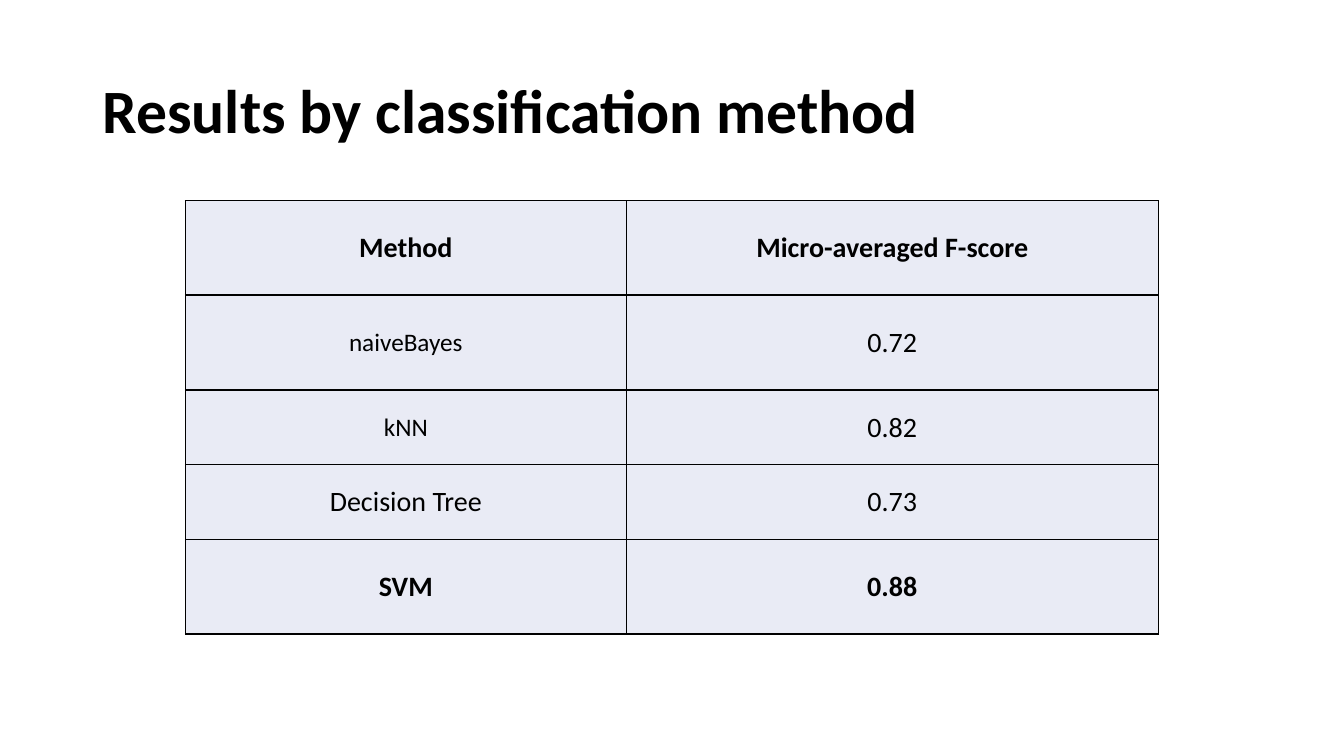
from lxml import etree
from pptx import Presentation
from pptx.dml.color import RGBColor
from pptx.enum.text import MSO_ANCHOR, PP_ALIGN
from pptx.oxml.ns import qn
from pptx.util import Inches, Pt

MIDDLE = MSO_ANCHOR.MIDDLE
CENTER = PP_ALIGN.CENTER

SLIDE_WIDTH, SLIDE_HEIGHT = 13.33, 7.5
FONT = "Calibri"
BLACK = "000000"
CELL_FILL = "E9EBF5"
THIN_LINE, HEADER_LINE = 1, 1.5

TITLE_BOX = (0.92, 0.4, 11.5, 1.45)
TABLE_BOX = (1.84, 1.99, 9.65, 4.3)
COLUMN_WIDTHS = (4.37, 5.28)
TALL_ROW, SHORT_ROW = 0.94, 0.74
TIGHT_MARGINS = {"margin_left": 0.01, "margin_right": 0.01,
                 "margin_top": 0.01, "margin_bottom": 0}

# Row height, then (text, size, bold) for each cell
RESULTS = [
    (TALL_ROW, [("Method", 20, True), ("Micro-averaged F-score", 20, True)]),
    (TALL_ROW, [("naiveBayes", 18, False), ("0.72", 20, False)]),
    (SHORT_ROW, [("kNN", 18, False), ("0.82", 20, False)]),
    (SHORT_ROW, [("Decision Tree", 20, False), ("0.73", 20, False)]),
    (TALL_ROW, [("SVM", 20, True), ("0.88", 20, True)]),
]


def color(hex_value):
    return RGBColor.from_string(hex_value)


def write_text(text_frame, text, size, bold):
    paragraph = text_frame.paragraphs[0]
    run = paragraph.add_run()
    run.text = text
    for name, value in {"name": FONT, "size": Pt(size), "bold": bold}.items():
        setattr(run.font, name, value)
    run.font.color.rgb = color(BLACK)
    return paragraph


def add_borders(cell, widths):
    """Draw the left, right, top and bottom lines, ahead of the cell's fill."""
    properties = cell._tc.get_or_add_tcPr()
    for index, (side, width) in enumerate(widths.items()):
        line = etree.Element(qn(f"a:ln{side}"), w=str(Pt(width)))
        fill = etree.SubElement(line, qn("a:solidFill"))
        etree.SubElement(fill, qn("a:srgbClr"), val=BLACK)
        properties.insert(index, line)


def add_title(slide, box, text):
    text_frame = slide.shapes.add_textbox(*map(Inches, box)).text_frame
    text_frame.word_wrap = True
    text_frame.vertical_anchor = MIDDLE
    write_text(text_frame, text, 44, True).line_spacing = 0.9


def fill_cell(cell, content, row_index, tight):
    cell.fill.solid()
    cell.fill.fore_color.rgb = color(CELL_FILL)
    cell.vertical_anchor = MIDDLE
    if tight:
        for name, value in TIGHT_MARGINS.items():
            setattr(cell, name, Inches(value))
    write_text(cell.text_frame, *content).alignment = CENTER
    add_borders(cell, {
        "L": THIN_LINE,
        "R": THIN_LINE,
        "T": HEADER_LINE if row_index == 1 else THIN_LINE,
        "B": HEADER_LINE if row_index == 0 else THIN_LINE,
    })


def add_results_table(slide, box):
    frame = slide.shapes.add_table(len(RESULTS), len(COLUMN_WIDTHS),
                                   *map(Inches, box))
    table = frame.table
    table.first_row = False
    table.horz_banding = False
    for column, width in zip(table.columns, COLUMN_WIDTHS):
        column.width = Inches(width)
    for row_index, (height, contents) in enumerate(RESULTS):
        row = table.rows[row_index]
        row.height = Inches(height)
        for cell, content in zip(row.cells, contents):
            fill_cell(cell, content, row_index, height == SHORT_ROW)


def main():
    presentation = Presentation()
    presentation.slide_width = Inches(SLIDE_WIDTH)
    presentation.slide_height = Inches(SLIDE_HEIGHT)
    slide = presentation.slides.add_slide(presentation.slide_layouts[6])
    add_title(slide, TITLE_BOX, "Results by classification method")
    add_results_table(slide, TABLE_BOX)
    presentation.save("out.pptx")


if __name__ == "__main__":
    main()
